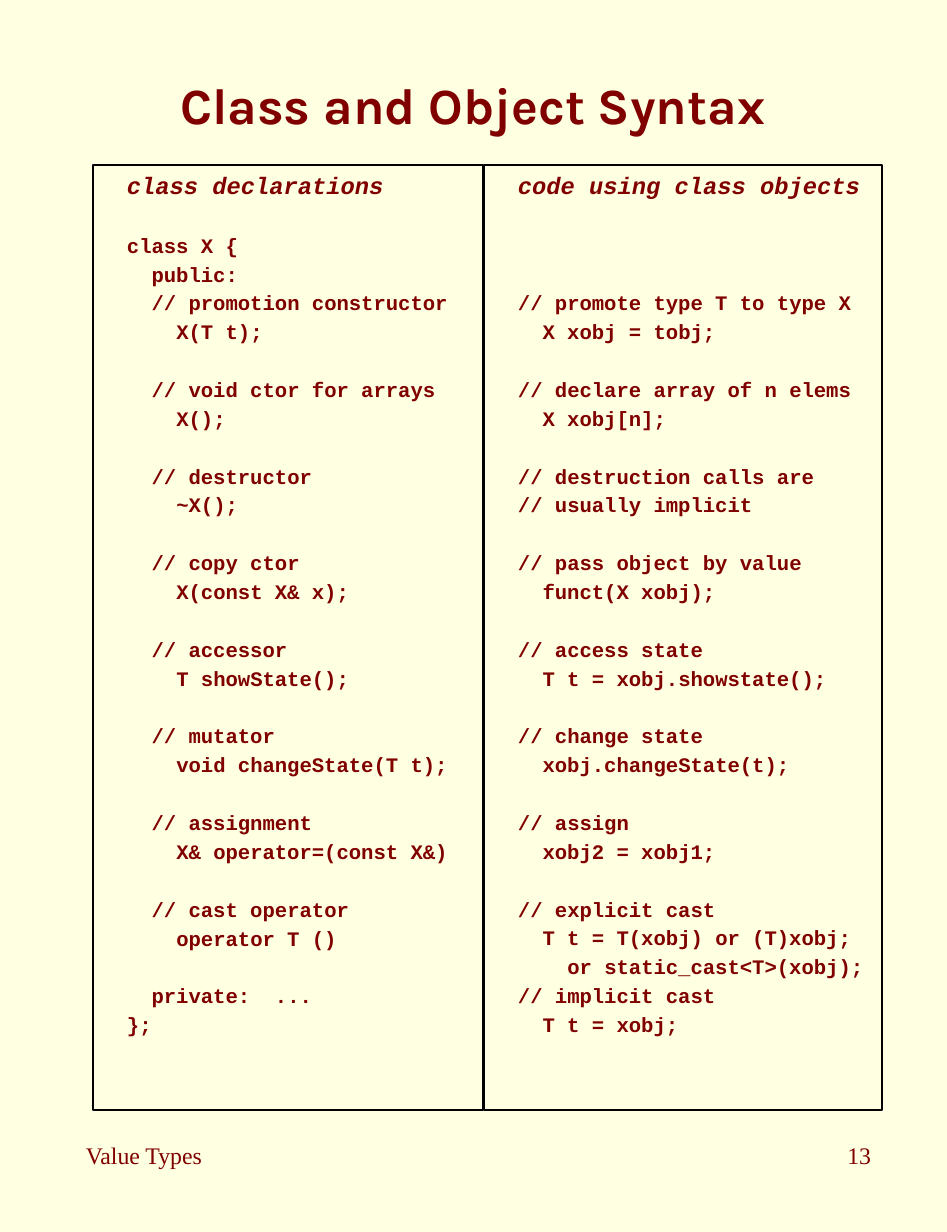
from pptx import Presentation
from pptx import util as u
from pptx.dml import color
from pptx.enum import shapes, text

PX = 8014  # EMU in one px
CREAM, MAROON, BLACK = "FFFFE2", "800000", "000000"
CHARACTER = 12.33  # px advance of the 13 pt code font
LINE_PITCH = 18.2  # points taken by an empty code line
GAP_SHARE = 0.2  # space before a line, as a share of its size

DECLARATIONS = """
class X {
  public:
  // promotion constructor
    X(T t);

  // void ctor for arrays
    X();

  // destructor
    ~X();

  // copy ctor
    X(const X& x);

  // accessor
    T showState();

  // mutator
    void changeState(T t);

  // assignment
    X& operator=(const X&)

  // cast operator
    operator T ()

  private:  ...
};"""

USES = """


// promote type T to type X
  X xobj = tobj;

// declare array of n elems
  X xobj[n];

// destruction calls are
// usually implicit

// pass object by value
  funct(X xobj);

// access state
  T t = xobj.showstate();

// change state
  xobj.changeState(t);

// assign
  xobj2 = xobj1;

// explicit cast
  T t = T(xobj) or (T)xobj;
    or static_cast<T>(xobj);
// implicit cast
  T t = xobj;"""


def px(length):
    return u.Emu(round(length * PX))


def rgb(value):
    return color.RGBColor.from_string(value)


def set_frame(shape, anchor, left, right):
    frame = shape.text_frame
    frame.word_wrap = True
    frame.vertical_anchor = anchor
    frame.margin_left, frame.margin_right = px(left), px(right)
    frame.margin_top = frame.margin_bottom = px(6)
    return frame


def write(paragraph, words, font, size, align, bold=False, italic=False):
    paragraph.text = words
    paragraph.alignment = align
    paragraph.font.name, paragraph.font.size = font, u.Pt(size)
    paragraph.font.bold, paragraph.font.italic = bold, italic
    paragraph.font.color.rgb = rgb(MAROON)


def add_label(slide, box, words, font, size, align, anchor, bold=False):
    shape = slide.shapes.add_textbox(*map(px, box))
    frame = set_frame(shape, anchor, 13, 13)
    write(frame.paragraphs[0], words, font, size, align, bold)


def add_code_panel(slide, box, heading, code):
    panel = slide.shapes.add_shape(shapes.MSO_SHAPE.RECTANGLE, *map(px, box))
    panel.shadow.inherit = False
    panel.fill.solid()
    panel.fill.fore_color.rgb = rgb(CREAM)
    panel.line.color.rgb = rgb(BLACK)
    panel.line.width = u.Pt(1)
    frame = set_frame(panel, text.MSO_ANCHOR.TOP, 34, 11)

    # Heading
    paragraph = frame.paragraphs[0]
    write(paragraph, heading, "Courier New", 15, text.PP_ALIGN.LEFT, True, True)
    paragraph.space_before = u.Pt(15 * GAP_SHARE)

    # Code: empty lines become spacing, leading spaces become indents
    skipped = 0
    for line in code.split("\n"):
        words = line.lstrip()
        if not words:
            skipped += 1
            continue
        paragraph = frame.add_paragraph()
        write(paragraph, words, "Courier New", 13, text.PP_ALIGN.LEFT, True)
        paragraph.space_before = u.Pt(13 * GAP_SHARE + skipped * LINE_PITCH)
        indent = px((len(line) - len(words)) * CHARACTER)
        paragraph._p.get_or_add_pPr().set("marL", str(indent))
        skipped = 0


def add_footer(slide, box, words, number):
    left, top, width, height = box
    number_width = 189
    middle = text.MSO_ANCHOR.MIDDLE
    add_label(slide, (left, top, 476, height), words,
              "Times New Roman", 15, text.PP_ALIGN.LEFT, middle)
    add_label(slide, (left + width - number_width, top, number_width, height), number,
              "Times New Roman", 15, text.PP_ALIGN.RIGHT, middle)


def main():
    presentation = Presentation()
    presentation.slide_width, presentation.slide_height = px(947), px(1232)
    slide = presentation.slides.add_slide(presentation.slide_layouts[6])
    slide.background.fill.solid()
    slide.background.fill.fore_color.rgb = rgb(CREAM)

    add_footer(slide, (73, 1109, 811, 92), "Value Types", "13")
    add_code_panel(slide, (93, 165, 390, 945), "class declarations", DECLARATIONS)
    add_code_panel(slide, (484, 165, 398, 945), "code using class objects", USES)
    add_label(slide, (71, 41, 804, 100), "Class and Object Syntax",
              "Karla", 32, text.PP_ALIGN.CENTER, text.MSO_ANCHOR.BOTTOM, True)

    presentation.save("out.pptx")


if __name__ == "__main__":
    main()
